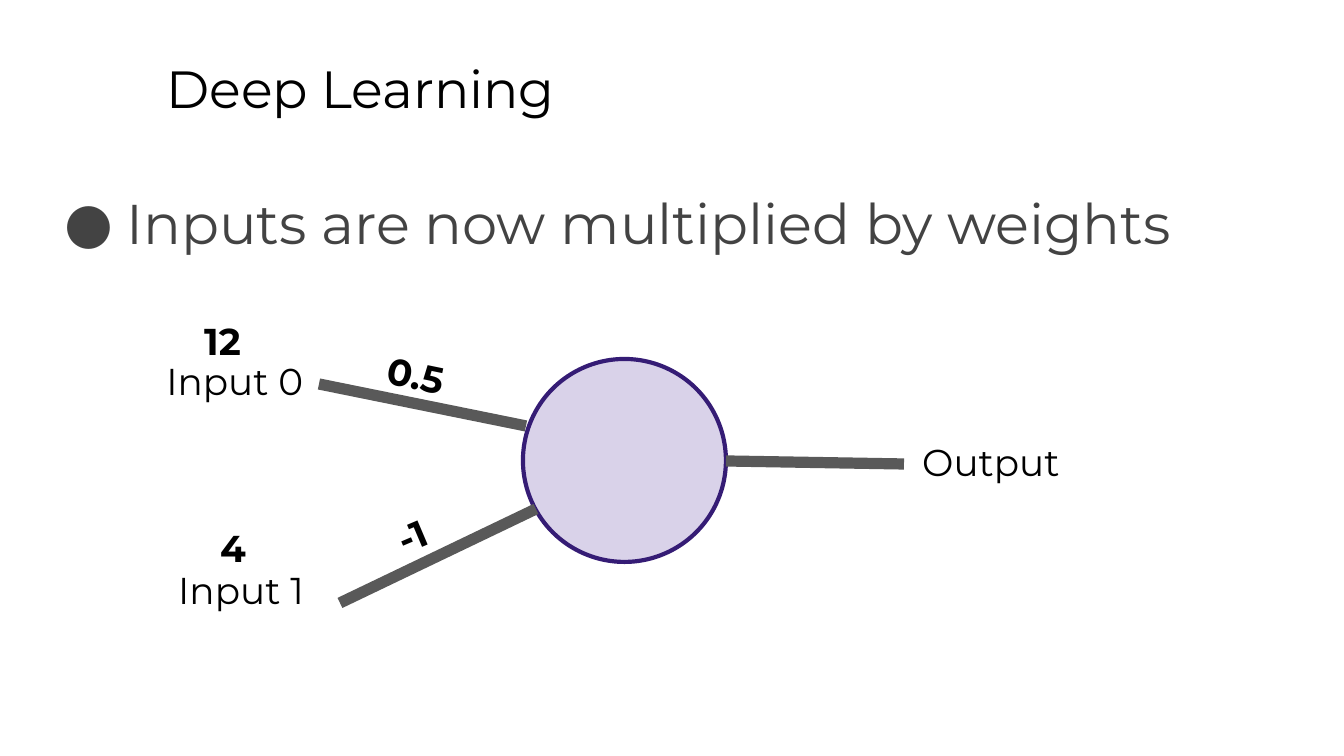
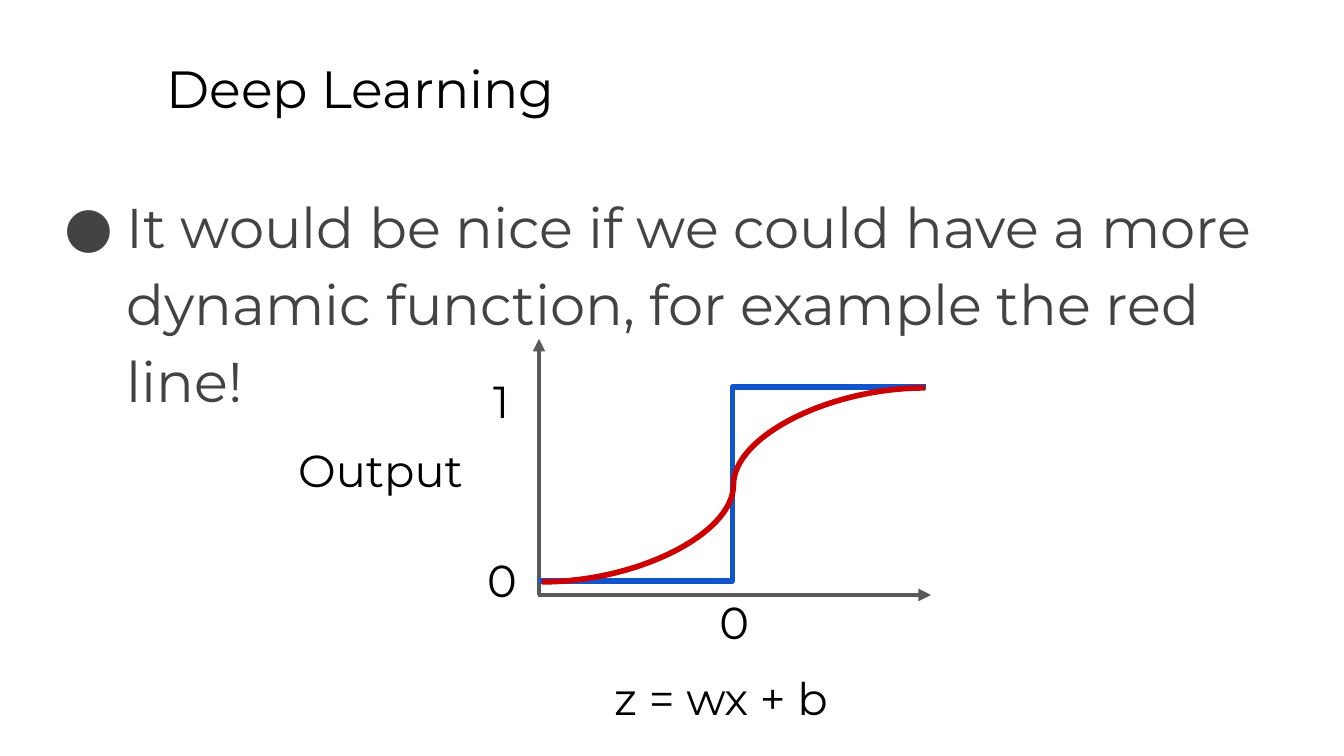
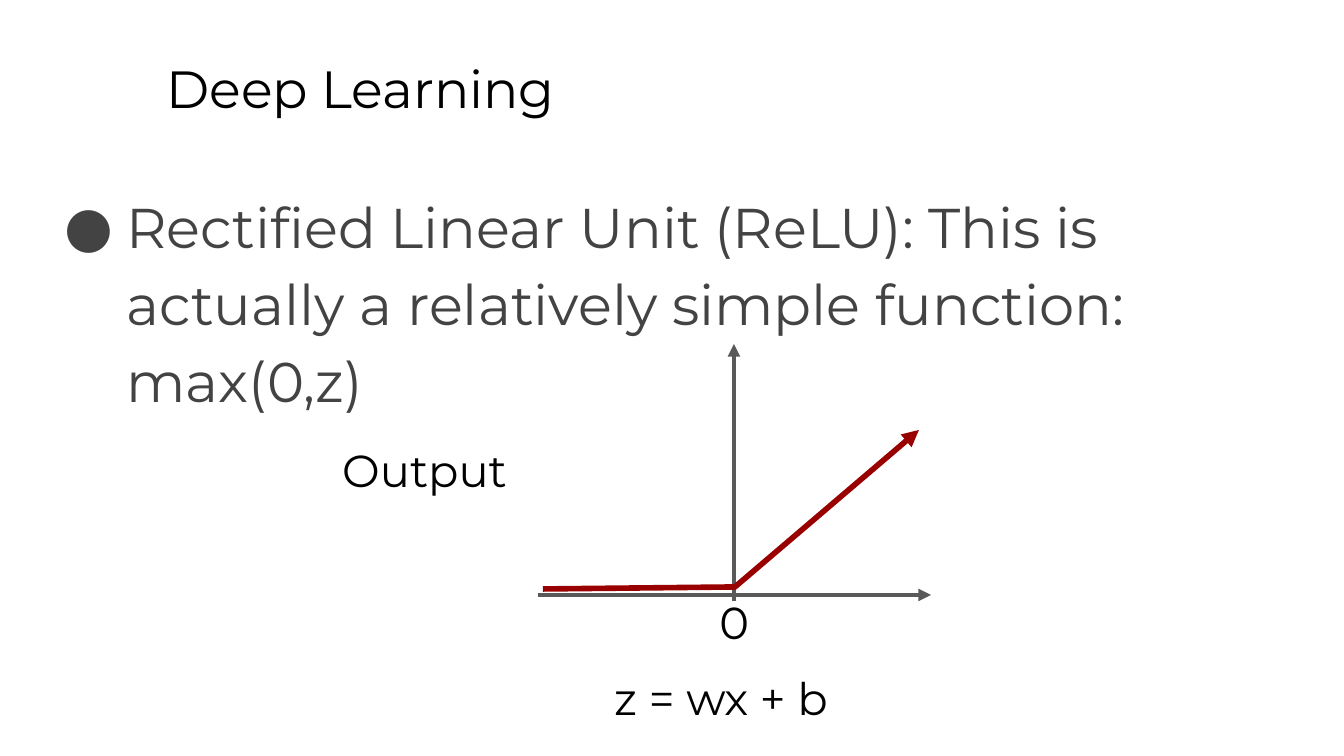
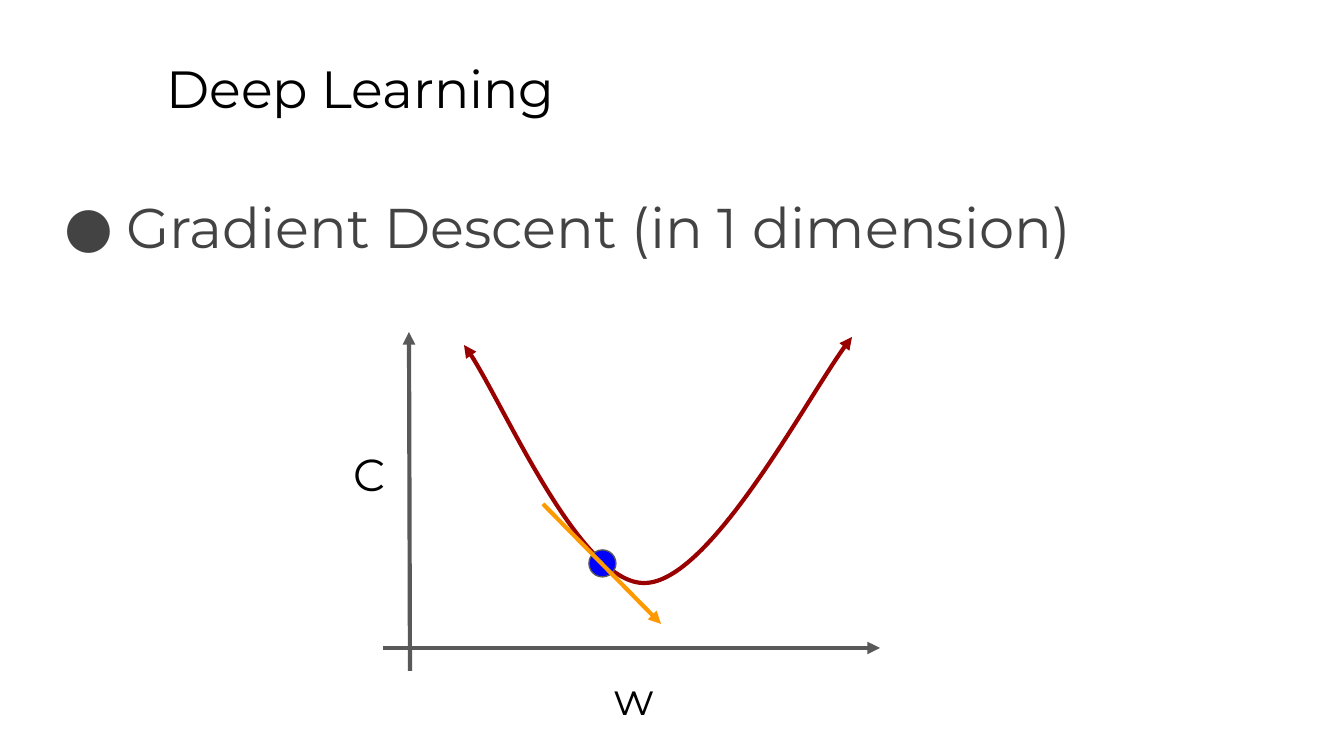
"""Build four slides on neurons, activation functions and gradient descent."""
from dataclasses import dataclass
from pptx import Presentation, util as u
from pptx.dml.color import RGBColor
from pptx.enum import shapes, text
from pptx.oxml import ns, xmlchemy as xc

SCALE = 914400 / 134.4


@dataclass(frozen=True)
class Theme:
    font: str = "Montserrat"
    ink: str = "000000"
    body: str = "434343"
    grey: str = "595959"
    lilac: str = "D9D2E9"
    violet: str = "351C75"
    blue: str = "1155CC"
    red: str = "CC0000"
    maroon: str = "990000"
    dot: str = "0000FF"
    orange: str = "FF9900"
    title: int = 28
    list: int = 30
    label: int = 24
    small: int = 20
    thin: float = 0.75
    axis: float = 2.25
    plot: float = 3
    link: float = 6


def px(size):
    return u.Emu(round(size * SCALE))


def put(item, values):
    for name, value in values.items():
        setattr(item, name, value)


def add(parent, tag, **attrs):
    node = xc.OxmlElement(tag)
    for name, value in attrs.items():
        node.set(name, str(value))
    parent.append(node)
    return node


class Deck:
    def __init__(self, theme):
        self.theme = theme
        self.file = Presentation()
        put(self.file, {"slide_width": u.Inches(10), "slide_height": u.Inches(5.625)})
        self.slide = None

    def place(self, shape, box):
        put(shape, dict(zip(("left", "top", "width", "height"), map(px, box))))

    def word(self, shape, words, size, color, bold=False):
        frame = shape.text_frame
        edges = dict.fromkeys(("margin_left", "margin_top", "margin_right", "margin_bottom"), u.Inches(0.1))
        put(frame, {**edges, "word_wrap": True, "text": words,
                    "auto_size": text.MSO_AUTO_SIZE.NONE,
                    "vertical_anchor": text.MSO_ANCHOR.TOP})
        para = frame.paragraphs[0]
        put(para, {"alignment": text.PP_ALIGN.LEFT, "space_before": u.Pt(0)})
        font = para.runs[0].font
        put(font, {"name": self.theme.font, "size": u.Pt(size), "bold": bold})
        font.color.rgb = RGBColor.from_string(color)
        return para

    def page(self, title, point, box):
        t = self.theme
        self.slide = self.file.slides.add_slide(self.file.slide_layouts[1])
        head, body = self.slide.placeholders
        self.place(head, (153, 43, 1145, 85))
        self.word(head, title, t.title, t.ink)
        self.place(body, box)
        para = self.word(body, point, t.list, t.body)
        para.line_spacing = 1.15
        props = para._p.get_or_add_pPr()
        props.set("marL", str(px(67)))
        props.set("indent", str(px(-62)))
        add(add(props, "a:buClr"), "a:srgbClr", val=t.body)
        add(props, "a:buFont", typeface=t.font)
        add(props, "a:buChar", char="●")

    def label(self, words, box, size=None, bold=False, turn=0):
        shape = self.slide.shapes.add_textbox(*map(px, box))
        shape.rotation = turn
        self.word(shape, words, size or self.theme.label, self.theme.ink, bold)

    def stroke(self, shape, color, width, ends=()):
        shape.line.color.rgb = RGBColor.from_string(color)
        shape.line.width = u.Pt(width)
        for end in ends:
            add(shape.line._get_or_add_ln(), f"a:{end}End", type="triangle")
        add(shape._element.spPr, "a:effectLst")

    def line(self, start, stop, color, width, ends=(), kind="STRAIGHT"):
        form = shapes.MSO_CONNECTOR[kind]
        shape = self.slide.shapes.add_connector(form, *map(px, (*start, *stop)))
        self.stroke(shape, color, width, ends)

    def axis(self, start, stop):
        self.line(start, stop, self.theme.grey, self.theme.axis, ["tail"])

    def oval(self, box, fill, color, width):
        shape = self.slide.shapes.add_shape(shapes.MSO_SHAPE.OVAL, *map(px, box))
        shape.fill.solid()
        shape.fill.fore_color.rgb = RGBColor.from_string(fill)
        self.stroke(shape, color, width)

    def trace(self, points, color, width, ends, curved=False):
        pen = self.slide.shapes.build_freeform(*points[0], scale=SCALE)
        pen.add_line_segments(points[1:], close=False)
        shape = pen.convert_to_shape()
        shape.fill.background()
        if curved:
            self.bend(shape)
        self.stroke(shape, color, width, ends)

    def bend(self, shape):
        steps = list(shape._element.iter(ns.qn("a:lnTo")))
        for trio in zip(steps[::3], steps[1::3], steps[2::3]):
            curve = xc.OxmlElement("a:cubicBezTo")
            trio[0].addprevious(curve)
            for step in trio:
                curve.append(step[0])
                step.getparent().remove(step)


def neuron(deck):
    t = deck.theme
    deck.page("Deep Learning", "Inputs are now multiplied by weights", (46, 165, 1253, 503))
    deck.oval((523, 359, 203, 203), t.lilac, t.violet, t.axis)
    for start, stop in (((526, 426), (319, 384)), ((536, 509), (340, 603)), ((904, 464), (726, 461))):
        deck.line(start, stop, t.grey, t.link)
    for words, x, y in (("Input 0", 153, 345), ("Input 1", 165, 554), ("Output", 909, 426)):
        deck.label(words, (x, y, 306, 90), t.small)
    for words, x, y, wide, turn in (("0.5", 371, 351, 203, 11.8), ("-1", 382, 470, 203, 337),
                                    ("12", 191, 305, 68, 0), ("4", 207, 512, 68, 0)):
        deck.label(words, (x, y, wide, 90), t.small, True, turn)


def graph(deck, point, up, out):
    deck.page("Deep Learning", point, (46, 169, 1298, 167))
    deck.axis(*up)
    deck.axis((538, 595), (931, 595))
    deck.label("z = wx + b", (601, 657, 296, 62))
    deck.label("Output", (out, 429, 199, 62))
    deck.label("0", (706, 581, 66, 62))


def sigmoid(deck):
    t = deck.theme
    graph(deck, "It would be nice if we could have a more dynamic function, for example the red line!",
          ((539, 595), (539, 339)), 285)
    deck.label("0", (474, 539, 199, 62))
    deck.label("1", (480, 360, 199, 62))
    deck.line((539, 581), (926, 387), t.blue, t.plot, kind="ELBOW")
    deck.line((542, 582), (925, 388), t.red, t.plot, kind="CURVE")


def relu(deck):
    t = deck.theme
    graph(deck, "Rectified Linear Unit (ReLU): This is actually a relatively simple function: max(0,z)",
          ((734, 601), (734, 344)), 329)
    deck.trace([(543, 589), (735, 587), (919, 430)], t.maroon, t.plot, ["tail"])


def descent(deck):
    t = deck.theme
    deck.page("Deep Learning", "Gradient Descent (in 1 dimension)", (46, 169, 1253, 503))
    deck.axis((410, 671), (409, 332))
    deck.axis((383, 648), (880, 648))
    deck.label("w", (601, 657, 89, 62))
    deck.label("C", (340, 433, 56, 62))
    deck.trace([(464, 345), (495, 384), (581, 585), (645, 583), (710, 582), (817, 379), (852, 337)],
               t.maroon, t.axis, ["head", "tail"], True)
    deck.oval((589, 550, 27, 27), t.dot, t.grey, t.thin)
    deck.line((543, 504), (661, 624), t.orange, t.axis, ["tail"])


deck = Deck(Theme())
for draw in (neuron, sigmoid, relu, descent):
    draw(deck)
deck.file.save("out.pptx")
